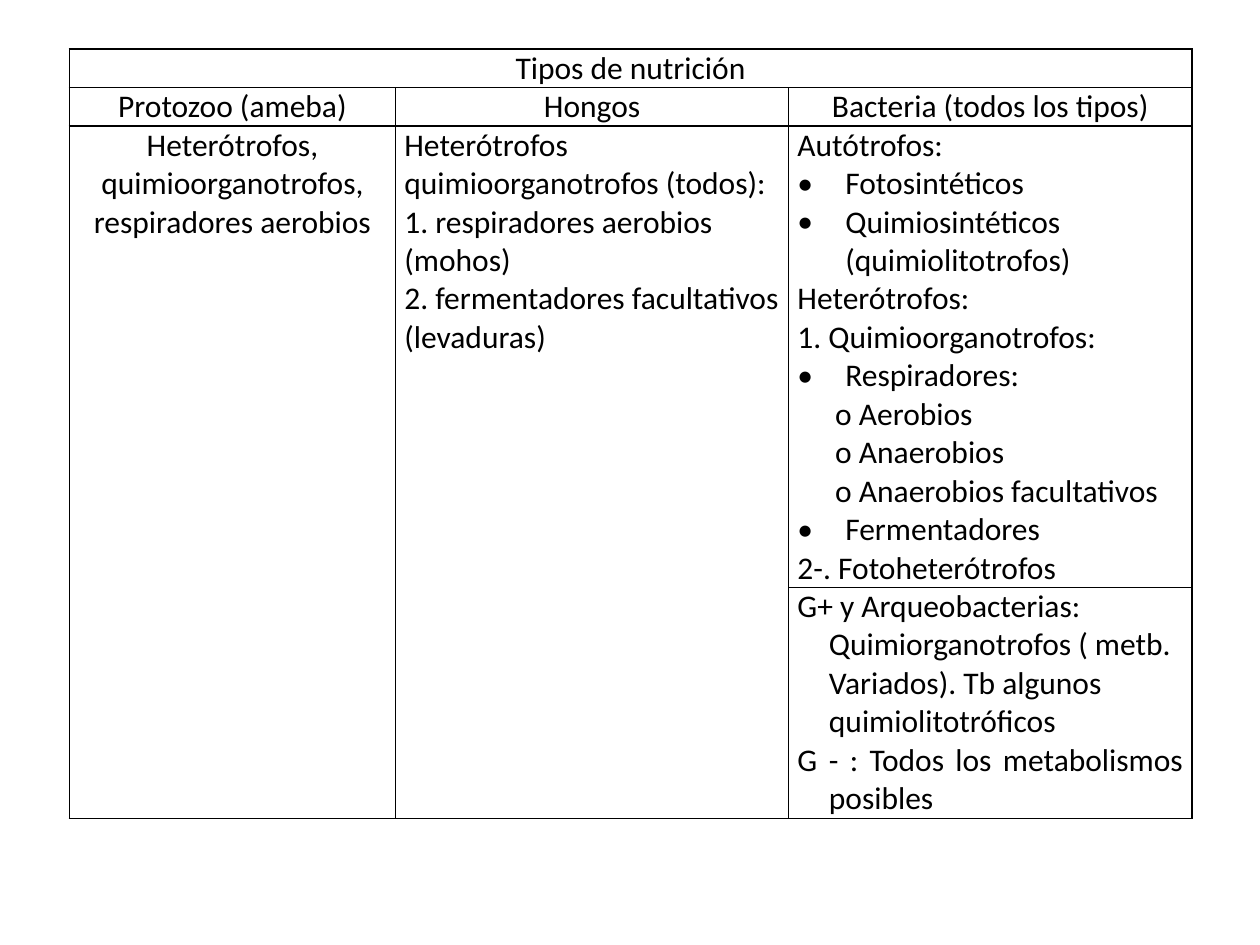
from dataclasses import dataclass

from lxml.etree import SubElement
from pptx import Presentation
from pptx.dml.color import RGBColor
from pptx.enum.text import PP_ALIGN
from pptx.oxml.ns import qn
from pptx.util import Inches, Pt


@dataclass(frozen=True)
class Theme:
    font: str = "Calibri"
    size: Pt = Pt(18)
    ink: RGBColor = RGBColor(0, 0, 0)
    paper: RGBColor = RGBColor(255, 255, 255)
    thin: Pt = Pt(0.5)
    thick: Pt = Pt(1)


@dataclass(frozen=True)
class Style:
    align: PP_ALIGN = PP_ALIGN.LEFT
    left: float = 0
    indent: float = 0
    bullet: str = ""


THEME = Theme()
PLAIN = Style()
CENTRED = Style(PP_ALIGN.CENTER)
CENTRED_HANGING = Style(PP_ALIGN.CENTER, 0.25, -0.25)
HANGING = Style(PP_ALIGN.LEFT, 0.25, -0.25)
ENTRY = Style(PP_ALIGN.JUSTIFY, 0.25, -0.25)
BULLET = Style(PP_ALIGN.JUSTIFY, 0.38, -0.38, "•")
SUB_BULLET = Style(PP_ALIGN.JUSTIFY, 0.38, -0.08, "o")

COLUMN_WIDTHS = (2.59, 3.12, 3.2)
ROW_HEIGHTS = (0.3, 0.3, 3.6, 1.8)
THICK_ROW_EDGES = (0, 2)  # top of the table and foot of the headings

# Each region: first row, first column, last row, last column, paragraphs
REGIONS = (
    (0, 0, 0, 2, [("Tipos de nutrición", CENTRED)]),
    (1, 0, 1, 0, [("Protozoo (ameba)", CENTRED)]),
    (1, 1, 1, 1, [("Hongos", CENTRED)]),
    (1, 2, 1, 2, [("Bacteria (todos los tipos)", CENTRED_HANGING)]),
    (2, 0, 3, 0, [
        ("Heterótrofos, quimioorganotrofos, respiradores aerobios", CENTRED),
    ]),
    (2, 1, 3, 1, [
        ("Heterótrofos quimioorganotrofos (todos):", PLAIN),
        ("1. respiradores aerobios (mohos)", PLAIN),
        ("2. fermentadores facultativos (levaduras)", PLAIN),
    ]),
    (2, 2, 2, 2, [
        ("Autótrofos:", ENTRY),
        ("Fotosintéticos", BULLET),
        ("Quimiosintéticos (quimiolitotrofos)", BULLET),
        ("Heterótrofos:", ENTRY),
        ("1. Quimioorganotrofos:", ENTRY),
        ("Respiradores:", BULLET),
        (" Aerobios", SUB_BULLET),
        (" Anaerobios", SUB_BULLET),
        (" Anaerobios facultativos", SUB_BULLET),
        ("Fermentadores", BULLET),
        ("2-. Fotoheterótrofos", ENTRY),
    ]),
    (3, 2, 3, 2, [
        ("G+ y Arqueobacterias: Quimiorganotrofos ( metb. Variados). "
         "Tb algunos quimiolitotróficos", HANGING),
        ("G - : Todos los metabolismos posibles", ENTRY),
    ]),
)


def set_paragraph(paragraph, text, style):
    paragraph.text = text
    paragraph.alignment = style.align
    properties = paragraph._p.get_or_add_pPr()
    properties.set("marL", str(Inches(style.left)))
    properties.set("indent", str(Inches(style.indent)))
    if style.bullet:
        SubElement(properties, qn("a:buFont"), typeface=THEME.font)
        SubElement(properties, qn("a:buChar"), char=style.bullet)
    else:
        SubElement(properties, qn("a:buNone"))
    font = paragraph.font
    font.name, font.size, font.bold = THEME.font, THEME.size, False
    font.color.rgb = THEME.ink


def fill_cell(cell, paragraphs):
    cell.margin_left = cell.margin_right = Inches(0.07)
    cell.margin_top = cell.margin_bottom = 0
    frame = cell.text_frame
    for number, (text, style) in enumerate(paragraphs):
        paragraph = frame.add_paragraph() if number else frame.paragraphs[0]
        set_paragraph(paragraph, text, style)


def add_border(cell, side, width):
    line = SubElement(cell._tc.get_or_add_tcPr(), qn(f"a:ln{side}"), w=str(width))
    solid = SubElement(line, qn("a:solidFill"))
    SubElement(solid, qn("a:srgbClr"), val=str(THEME.ink))


def weight(is_thick):
    return THEME.thick if is_thick else THEME.thin


def frame_region(table, top, left, bottom, right):
    widths = {
        "L": weight(left == 0),
        "R": weight(right == len(COLUMN_WIDTHS) - 1),
        "T": weight(top in THICK_ROW_EDGES),
        "B": weight(bottom + 1 in THICK_ROW_EDGES),
    }
    for row in range(top, bottom + 1):
        for column in range(left, right + 1):
            cell = table.cell(row, column)
            on_edge = {"L": column == left, "R": column == right,
                       "T": row == top, "B": row == bottom}
            first = (row, column) == (top, left)
            for side, width in widths.items():
                if first or on_edge[side]:
                    add_border(cell, side, width)
            cell.fill.solid()
            cell.fill.fore_color.rgb = THEME.paper


def add_nutrition_table(slide, left, top, width, height):
    table = slide.shapes.add_table(
        len(ROW_HEIGHTS), len(COLUMN_WIDTHS), left, top, width, height).table
    table.first_row = table.horz_banding = False
    for column, column_width in zip(table.columns, COLUMN_WIDTHS):
        column.width = Inches(column_width)
    for row, row_height in zip(table.rows, ROW_HEIGHTS):
        row.height = Inches(row_height)
    for first_row, first_column, last_row, last_column, paragraphs in REGIONS:
        cell = table.cell(first_row, first_column)
        if (first_row, first_column) != (last_row, last_column):
            cell.merge(table.cell(last_row, last_column))
        fill_cell(cell, paragraphs)
        frame_region(table, first_row, first_column, last_row, last_column)


def main():
    deck = Presentation()
    deck.slide_width, deck.slide_height = Inches(10), Inches(7.5)
    slide = deck.slides.add_slide(deck.slide_layouts[6])
    add_nutrition_table(slide, Inches(0.55), Inches(0.39),
                        Inches(sum(COLUMN_WIDTHS)), Inches(sum(ROW_HEIGHTS)))
    deck.save("out.pptx")


if __name__ == "__main__":
    main()
